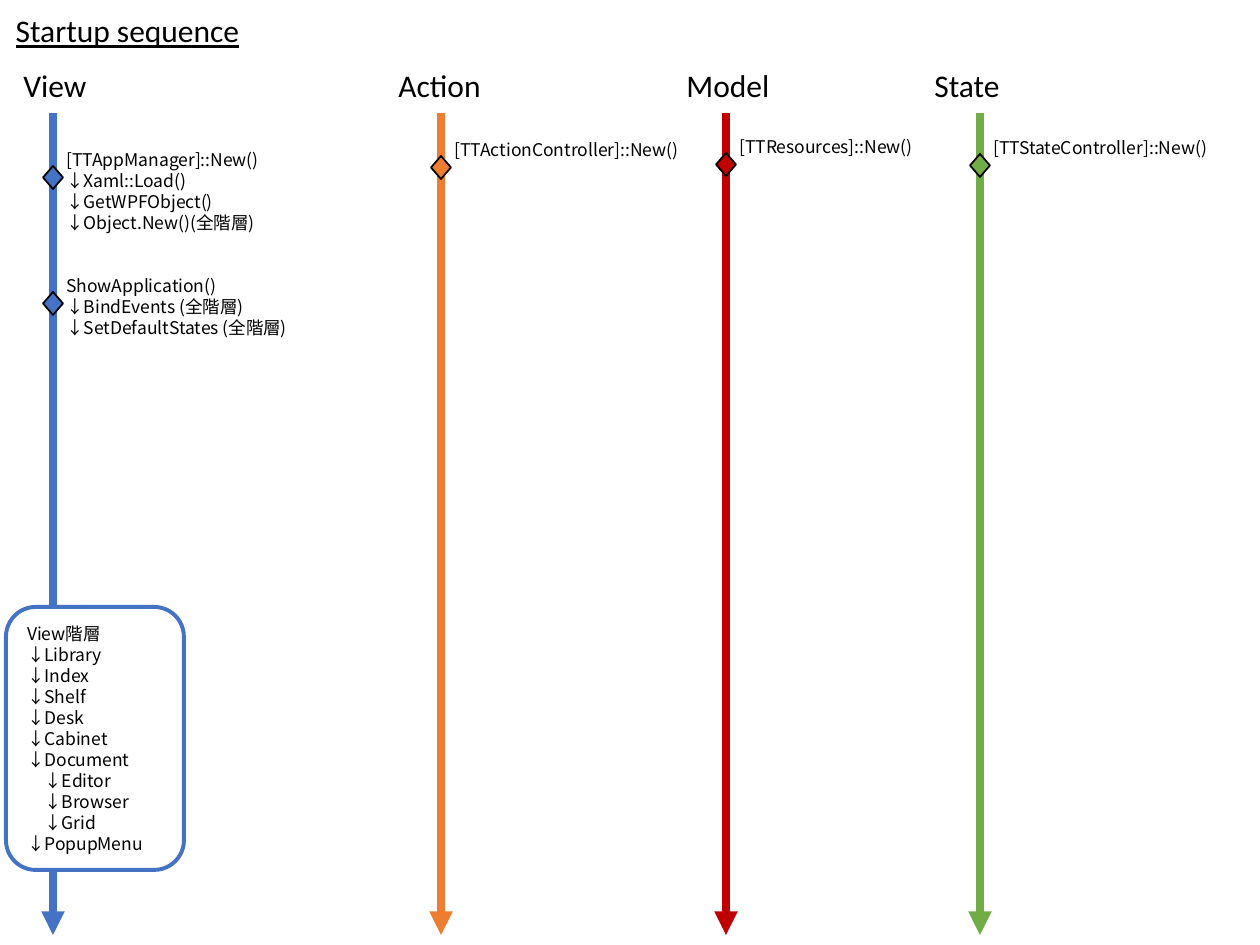
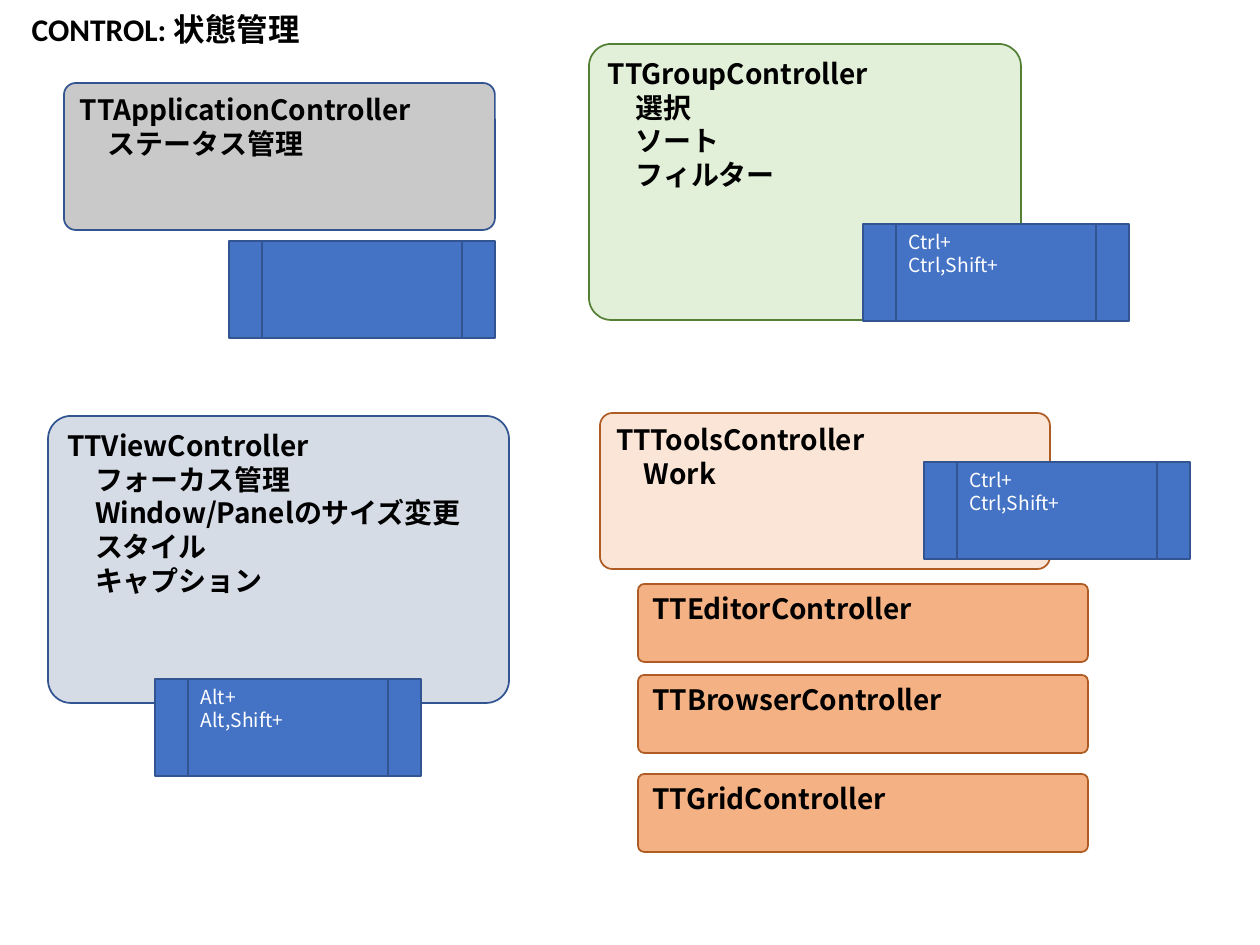
"""Builds two slides: a startup sequence of four lanes and an overview of controllers."""
import dataclasses
import typing

import lxml.etree
import pptx
import pptx.dml.color
import pptx.enum.shapes
import pptx.enum.text
import pptx.oxml.ns
import pptx.util

EMU_PER_PX = 914400 / 126
LATIN_FONT = "Calibri"
JAPANESE_FONT = "Noto Sans CJK JP"
BLACK, WHITE = "000000", "FFFFFF"
BLUE, ORANGE, RED, GREEN = "4472C4", "ED7D31", "C00000", "70AD47"
DARK_BLUE, DARK_GREEN, DARK_ORANGE = "325491", "538035", "AF5C24"
LANE_TOP, LANE_BOTTOM = 113, 935
DIAMOND_WIDTH, DIAMOND_HEIGHT = 20, 23
PROCESS_SIZE = (266, 97)
TOOL_SIZE = (450, 78)
SHAPES = pptx.enum.shapes.MSO_SHAPE
ANCHOR = pptx.enum.text.MSO_ANCHOR


@dataclasses.dataclass(frozen=True)
class Lane:
    name: str
    heading_left: int
    heading_width: int
    axis: int
    color: str


@dataclasses.dataclass(frozen=True)
class Step:
    lane: Lane
    top: int
    width: int
    lines: tuple[str, ...]


@dataclasses.dataclass(frozen=True)
class Controller:
    name: str
    box: tuple[int, int, int, int]
    fill: str
    outline: str
    duties: tuple[str, ...] = ()


@dataclasses.dataclass(frozen=True)
class KeyBinding:
    left: int
    top: int
    keys: tuple[str, ...] = ()


VIEW = Lane("View", 11, 89, 53, BLUE)
ACTION = Lane("Action", 386, 108, 441, ORANGE)
MODEL = Lane("Model", 674, 110, 726, RED)
STATE = Lane("State", 922, 91, 980, GREEN)
LANES = (VIEW, ACTION, MODEL, STATE)

STEPS = (
    Step(VIEW, 166, 250, ("[TTAppManager]::New()", "↓Xaml::Load()",
                          "↓GetWPFObject()", "↓Object.New()(全階層)")),
    Step(MODEL, 153, 250, ("[TTResources]::New()",)),
    Step(ACTION, 156, 296, ("[TTActionController]::New()",)),
    Step(STATE, 154, 278, ("[TTStateController]::New()",)),
    Step(VIEW, 292, 260, ("ShowApplication()", "↓BindEvents (全階層)",
                          "↓SetDefaultStates (全階層)")),
)

VIEW_HIERARCHY = ("View階層", "↓Library", "↓Index", "↓Shelf", "↓Desk", "↓Cabinet",
                  "↓Document", "↓Editor", "↓Browser", "↓Grid", "↓PopupMenu")
DOCUMENT_PARTS = (7, 8, 9)

CONTROLLERS = (
    Controller("TTGroupController", (589, 44, 432, 276), "E2F0D9", DARK_GREEN,
               ("選択", "ソート", "フィルター")),
    Controller("TTViewController", (48, 416, 461, 287), "D6DCE5", DARK_BLUE,
               ("フォーカス管理", "Window/Panelのサイズ変更", "スタイル", "キャプション")),
    Controller("TTToolsController", (600, 413, 450, 156), "FBE5D6", DARK_ORANGE, ("Work",)),
    Controller("TTApplicationController", (64, 83, 431, 147), "C9C9C9", DARK_BLUE,
               ("ステータス管理",)),
) + tuple(
    Controller(name, (638, top, *TOOL_SIZE), "F4B183", DARK_ORANGE)
    for name, top in (("TTEditorController", 584), ("TTBrowserController", 675),
                      ("TTGridController", 774))
)

KEY_BINDINGS = (
    KeyBinding(155, 679, ("Alt+", "Alt,Shift+")),
    KeyBinding(229, 241),
    KeyBinding(863, 224, ("Ctrl+", "Ctrl,Shift+")),
    KeyBinding(924, 462, ("Ctrl+", "Ctrl,Shift+")),
)


def px(length: float) -> pptx.util.Emu:
    return pptx.util.Emu(round(length * EMU_PER_PX))


def rgb(color: str) -> pptx.dml.color.RGBColor:
    return pptx.dml.color.RGBColor.from_string(color)


def write(target: typing.Any, lines: typing.Sequence[str], *, size: float,
          font: str = JAPANESE_FONT, color: str = BLACK, bold: bool = False,
          underline: bool = False, wrap: bool = True, anchor: ANCHOR = ANCHOR.TOP,
          indented: typing.Collection[int] = ()) -> None:
    frame = target.text_frame
    frame.auto_size = pptx.enum.text.MSO_AUTO_SIZE.NONE
    frame.word_wrap = wrap
    frame.vertical_anchor = anchor
    for index, line in enumerate(lines):
        paragraph = frame.paragraphs[0] if index == 0 else frame.add_paragraph()
        paragraph.alignment = pptx.enum.text.PP_ALIGN.LEFT
        if font == JAPANESE_FONT:
            paragraph.line_spacing = pptx.util.Pt(size * 1.2)
        if index in indented:
            paragraph._p.get_or_add_pPr().set("marL", str(pptx.util.Pt(size)))
        run = paragraph.add_run()
        run.text = line
        run.font.name = font
        run.font.size = pptx.util.Pt(size)
        run.font.bold = bold
        run.font.underline = underline
        run.font.color.rgb = rgb(color)
        east_asian = lxml.etree.SubElement(run._r.rPr, pptx.oxml.ns.qn("a:ea"))
        east_asian.set("typeface", JAPANESE_FONT)


def add_title(slide: typing.Any, text: str, left: int, top: int, width: int,
              **text_format: typing.Any) -> None:
    title = slide.shapes.title
    title.left, title.top, title.width, title.height = map(px, (left, top, width, 50))
    write(title, [text], size=18, font=LATIN_FONT, **text_format)


def add_text(shapes: typing.Any, box: tuple[int, int, int, int], lines: typing.Sequence[str],
             **text_format: typing.Any) -> None:
    write(shapes.add_textbox(*map(px, box)), lines, **text_format)


def add_box(shapes: typing.Any, kind: SHAPES, box: tuple[int, int, int, int],
            fill: str, outline: str, weight: float = 1) -> typing.Any:
    shape = shapes.add_shape(kind, *map(px, box))
    shape.shadow.inherit = False
    shape.fill.solid()
    shape.fill.fore_color.rgb = rgb(fill)
    shape.line.color.rgb = rgb(outline)
    shape.line.width = pptx.util.Pt(weight)
    return shape


def add_lane(slide: typing.Any, lane: Lane) -> None:
    add_text(slide.shapes, (lane.heading_left, 60, lane.heading_width, 50), [lane.name],
             size=18, font=LATIN_FONT, wrap=False)
    arrow = slide.shapes.add_connector(
        pptx.enum.shapes.MSO_CONNECTOR.STRAIGHT,
        px(lane.axis), px(LANE_TOP), px(lane.axis), px(LANE_BOTTOM))
    arrow.line.color.rgb = rgb(lane.color)
    arrow.line.width = pptx.util.Pt(4.5)
    head = lxml.etree.SubElement(arrow.line._get_or_add_ln(), pptx.oxml.ns.qn("a:tailEnd"))
    head.set("type", "triangle")
    lxml.etree.SubElement(arrow._element.spPr, pptx.oxml.ns.qn("a:effectLst"))


def add_step(slide: typing.Any, step: Step) -> None:
    group = slide.shapes.add_group_shape()
    axis = step.lane.axis
    height = 13 + 21 * len(step.lines)
    add_text(group.shapes, (axis + 1, step.top - DIAMOND_HEIGHT, step.width, height),
             step.lines, size=10)
    add_box(group.shapes, SHAPES.DIAMOND,
            (axis - DIAMOND_WIDTH // 2, step.top, DIAMOND_WIDTH, DIAMOND_HEIGHT),
            step.lane.color, BLACK)


def add_controller(slide: typing.Any, controller: Controller) -> None:
    panel = add_box(slide.shapes, SHAPES.ROUNDED_RECTANGLE, controller.box,
                    controller.fill, controller.outline)
    panel.adjustments[0] = 0.08
    lines = (controller.name, *controller.duties)
    write(panel, lines, size=16, bold=True, indented=range(1, len(lines)))


def add_key_binding(slide: typing.Any, binding: KeyBinding) -> None:
    process = add_box(slide.shapes, SHAPES.FLOWCHART_PREDEFINED_PROCESS,
                      (binding.left, binding.top, *PROCESS_SIZE), BLUE, DARK_BLUE)
    write(process, binding.keys, size=11, color=WHITE)


def build_startup(slide: typing.Any) -> None:
    add_title(slide, "Startup sequence", 3, 5, 252, underline=True, wrap=False)
    for lane in LANES:
        add_lane(slide, lane)
    for step in STEPS:
        add_step(slide, step)
    hierarchy = add_box(slide.shapes, SHAPES.ROUNDED_RECTANGLE, (6, 607, 178, 263),
                        WHITE, BLUE, 2.25)
    write(hierarchy, VIEW_HIERARCHY, size=10, anchor=ANCHOR.MIDDLE, indented=DOCUMENT_PARTS)


def build_control(slide: typing.Any) -> None:
    add_title(slide, "CONTROL: 状態管理", 19, 4, 630, bold=True)
    for controller in CONTROLLERS[:4]:
        add_controller(slide, controller)
    for binding in KEY_BINDINGS:
        add_key_binding(slide, binding)
    for controller in CONTROLLERS[4:]:
        add_controller(slide, controller)


def main() -> None:
    presentation = pptx.Presentation()
    presentation.slide_width, presentation.slide_height = px(1260), px(945)
    title_only = presentation.slide_layouts[5]
    for build in (build_startup, build_control):
        build(presentation.slides.add_slide(title_only))
    presentation.save("out.pptx")


main()
